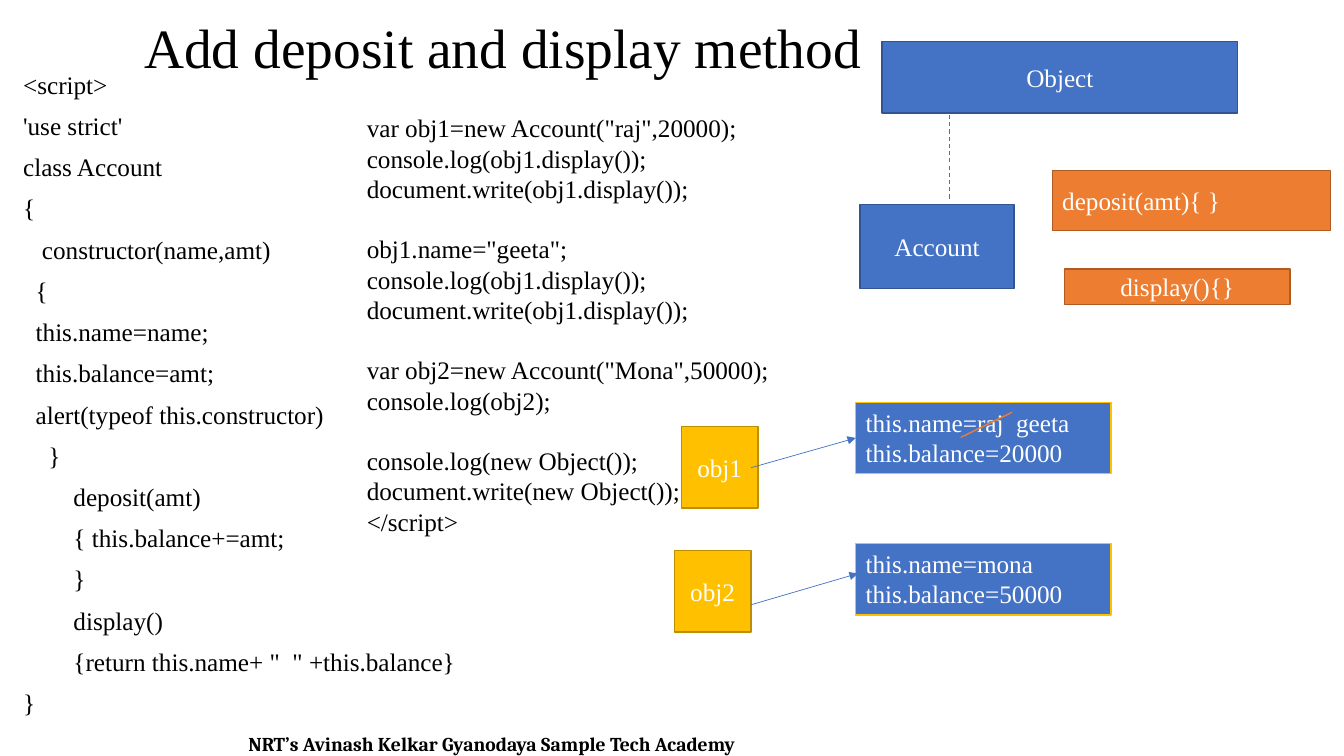
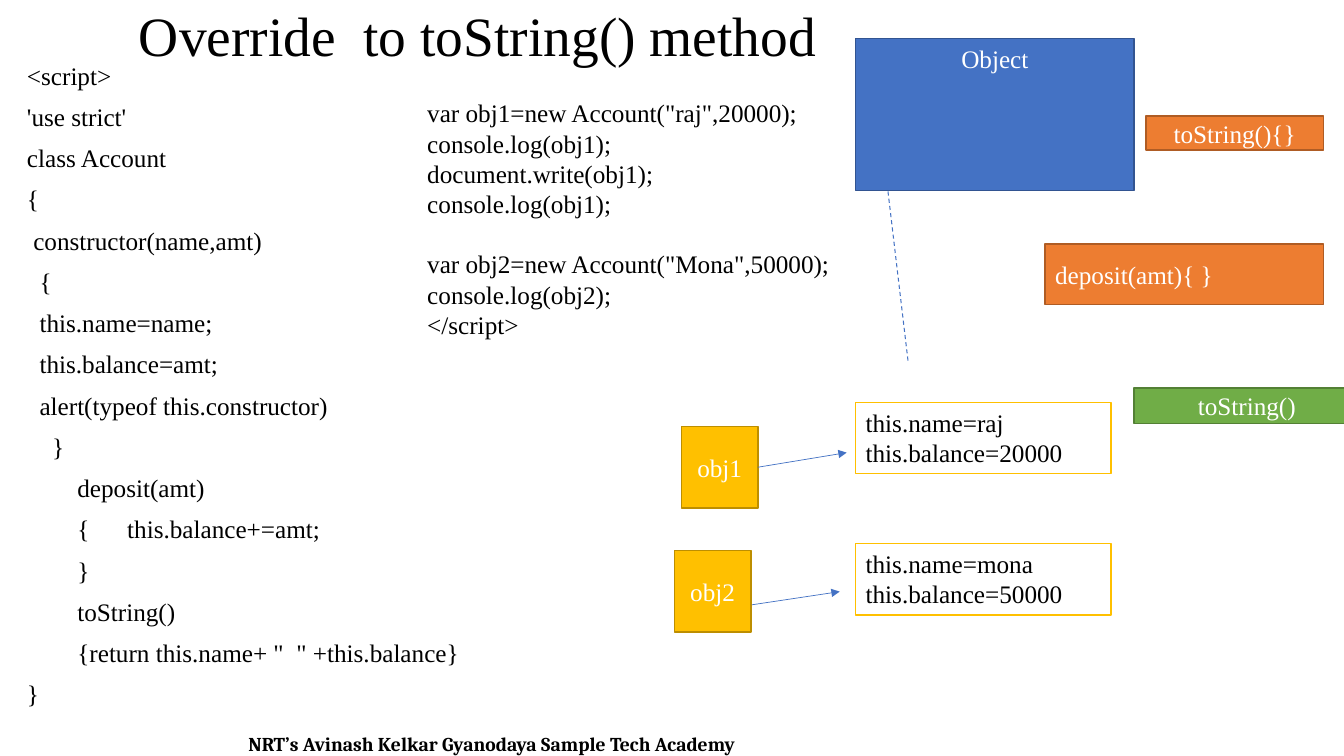
"""Build two slides on adding and overriding methods of an Account class."""
from lxml.etree import SubElement
from pptx import Presentation
from pptx.dml.color import RGBColor
from pptx.enum.dml import MSO_LINE
from pptx.enum.shapes import MSO_CONNECTOR, MSO_SHAPE
from pptx.enum.text import MSO_ANCHOR, PP_ALIGN
from pptx.oxml.ns import qn
from pptx.util import Pt

FOOTER = "NRT’s Avinash Kelkar Gyanodaya Sample Tech Academy"
SERIF = "Times New Roman"
BLACK, WHITE = "000000", "FFFFFF"
BLUE, ORANGE = "4472C4", "ED7D31"
LINE_GAP = 21.6
STYLES = {
    "class": dict(fill=BLUE, edge="325491"),
    "top": dict(fill=BLUE, edge="325491", anchor=MSO_ANCHOR.TOP),
    "method": dict(fill=ORANGE, edge="AF5C24"),
    "method_left": dict(fill=ORANGE, edge="AF5C24", align=PP_ALIGN.LEFT),
    "override": dict(fill="70AD47", edge="538035"),
    "variable": dict(fill="FFC000", edge="BD8E00"),
    "state": dict(fill=BLUE, edge="FFC000", align=PP_ALIGN.LEFT, anchor=MSO_ANCHOR.TOP),
    "state_plain": dict(fill=WHITE, edge="FFC000", color=BLACK, align=PP_ALIGN.LEFT,
                        anchor=MSO_ANCHOR.TOP),
}
LINES = {
    "arrow": dict(color=BLUE, width=0.5, arrow=True),
    "inherits": dict(color=BLUE, width=0.75, dash=True),
    "strike": dict(color=ORANGE, width=1),
}
VARIABLES = [
    ("obj1", "variable", (486.7, 304.6, 54.7, 58.3), ["obj1"]),
    ("obj2", "variable", (481.7, 393.1, 54.7, 58.3), ["obj2"]),
]


def states(style, first_name):
    """List the two object state boxes."""
    rows = [(287.3, first_name, 20000), (388.1, "mona", 50000)]
    return [(f"state{i}", style, (611.3, y, 182.2, 51.1),
             [f"this.name={name}", f"this.balance={balance}"])
            for i, (y, name, balance) in enumerate(rows, 1)]


def class_code(constructor, deposit, display):
    """List the lines of the Account class."""
    return ["<script>", "'use strict'", "class Account", "{",
            constructor, "  {", "  this.name=name;", "  this.balance=amt;",
            "  alert(typeof this.constructor)", "    }",
            "\tdeposit(amt)", deposit, "\t}", display,
            '\t{return this.name+ "  " +this.balance}', "}"]


SLIDES = [
    dict(
        title=("Add deposit and display method", (95.8, 10.8, 782, 51.1)),
        body=(class_code("   constructor(name,amt)", "\t{ this.balance+=amt;", "\tdisplay()"),
              (9.4, 48.2, 389.5, 465.8)),
        usage=([
            ['var obj1=new Account("raj",20000);',
             "console.log(obj1.display());", "document.write(obj1.display());"],
            ['obj1.name="geeta";',
             "console.log(obj1.display());", "document.write(obj1.display());"],
            ['var obj2=new Account("Mona",50000);', "console.log(obj2);"],
            ["console.log(new Object());", "document.write(new Object());", "</script>"],
        ], (254.9, 77, 331.9, 312.5)),
        boxes=VARIABLES + states("state", "raj  geeta") + [
            ("object", "class", (630, 29.5, 254.2, 51.1), ["Object"]),
            ("deposit", "method_left", (751.7, 121.7, 198.7, 43.2), ["deposit(amt){ }"]),
            ("display", "method", (760.3, 192.2, 161.3, 25.2), ["display(){}"]),
            ("account", "class", (614.2, 146.2, 110.2, 59.8), ["Account"]),
        ],
        lines=[
            ("arrow", (536.4, 334.1), ("state1", 1)),
            ("arrow", (536.4, 432), (612.7, 409.7)),
            ("inherits", (678.2, 77), (678.2, 143.3)),
            ("strike", (686.2, 312.5), (722.9, 294.5)),
        ],
    ),
    dict(
        title=("Override  to toString() method", (92.2, 1.4, 828, 51.8)),
        body=(class_code(" constructor(name,amt)", "\t{      this.balance+=amt;", "\ttoString()"),
              (12.2, 41.8, 406.8, 483.8)),
        usage=([
            ['var obj1=new Account("raj",20000);', "console.log(obj1);",
             "document.write(obj1);", "console.log(obj1);"],
            ['var obj2=new Account("Mona",50000);', "console.log(obj2);", "</script>"],
        ], (298.1, 66.2, 387.4, 203.8)),
        boxes=VARIABLES + states("state_plain", "raj") + [
            ("object", "top", (611.3, 27.4, 198.7, 108.7), ["Object"]),
            ("deposit", "method_left", (746.6, 174.2, 198.7, 43.2), ["deposit(amt){ }"]),
            ("inherited", "method", (818.6, 82.8, 126.7, 24.5), ["toString(){}"]),
            ("overriding", "override", (810, 277.2, 161.3, 25.2), ["toString()"]),
        ],
        lines=[
            ("inherits", (634.3, 136.8), (648.7, 258.5)),
            ("arrow", ("obj1", 3), (604.8, 323.3)),
            ("arrow", (537.1, 432), (599.8, 422.6)),
        ],
    ),
]


def rgb(value):
    """Turn a hex string into a colour."""
    return RGBColor.from_string(value)


def write(tf, groups, size=18, color=BLACK, font=SERIF, bold=False, align=PP_ALIGN.LEFT,
          anchor=MSO_ANCHOR.TOP, spacing=None, gap=0, group_gap=0):
    """Fill a text frame with groups of lines."""
    tf.word_wrap = True
    tf.vertical_anchor = anchor
    first = True
    for group in groups:
        for i, line in enumerate(group):
            p = tf.paragraphs[0] if first else tf.add_paragraph()
            p.text = line
            p.alignment = align
            if spacing:
                p.line_spacing = spacing
            p.space_before = Pt(0 if first else gap if i else group_gap)
            p.font.name, p.font.size, p.font.bold = font, Pt(size), bold
            p.font.color.rgb = rgb(color)
            first = False


def add_text(s, groups, at, **style):
    """Add a text box."""
    write(s.shapes.add_textbox(*map(Pt, at)).text_frame, groups, **style)


def add_box(s, lines, at, fill, edge, color=WHITE, align=PP_ALIGN.CENTER,
            anchor=MSO_ANCHOR.MIDDLE):
    """Add a filled rectangle with text."""
    sp = s.shapes.add_shape(MSO_SHAPE.RECTANGLE, *map(Pt, at))
    sp.shadow.inherit = False
    sp.fill.solid()
    sp.fill.fore_color.rgb = rgb(fill)
    sp.line.color.rgb = rgb(edge)
    sp.line.width = Pt(1)
    write(sp.text_frame, [lines], color=color, align=align, anchor=anchor)
    return sp


def add_line(s, boxes, start, end, color, width, arrow=False, dash=False):
    """Add a line whose ends are points or (box, side) joints."""
    points = [(0, 0) if isinstance(e[0], str) else e for e in (start, end)]
    c = s.shapes.add_connector(MSO_CONNECTOR.STRAIGHT, *[Pt(v) for pt in points for v in pt])
    for joint, join in ((start, c.begin_connect), (end, c.end_connect)):
        if isinstance(joint[0], str):
            join(boxes[joint[0]], joint[1])
    c.line.color.rgb = rgb(color)
    c.line.width = Pt(width)
    if dash:
        c.line.dash_style = MSO_LINE.DASH
    spPr = c._element.spPr
    if arrow:
        SubElement(spPr.find(qn("a:ln")), qn("a:tailEnd"), type="triangle")
    SubElement(spPr, qn("a:effectLst"))


def build(prs, title, body, usage, boxes, lines):
    """Add one slide."""
    s = prs.slides.add_slide(prs.slide_layouts[6])
    add_text(s, [[FOOTER]], (16.3, 519.1, 670.3, 24.5), size=14, font="Cambria", bold=True,
             align=PP_ALIGN.CENTER)
    add_text(s, [[title[0]]], title[1], size=39.6, anchor=MSO_ANCHOR.MIDDLE, spacing=0.9)
    add_text(s, [body[0]], body[1], spacing=0.9, gap=10)
    add_text(s, *usage, group_gap=LINE_GAP)
    shapes = {name: add_box(s, text, at, **STYLES[style]) for name, style, at, text in boxes}
    for kind, start, end in lines:
        add_line(s, shapes, start, end, **LINES[kind])


def main():
    """Build and save the presentation."""
    prs = Presentation()
    prs.slide_width, prs.slide_height = Pt(960), Pt(540)
    for content in SLIDES:
        build(prs, **content)
    prs.save("out.pptx")


if __name__ == "__main__":
    main()
